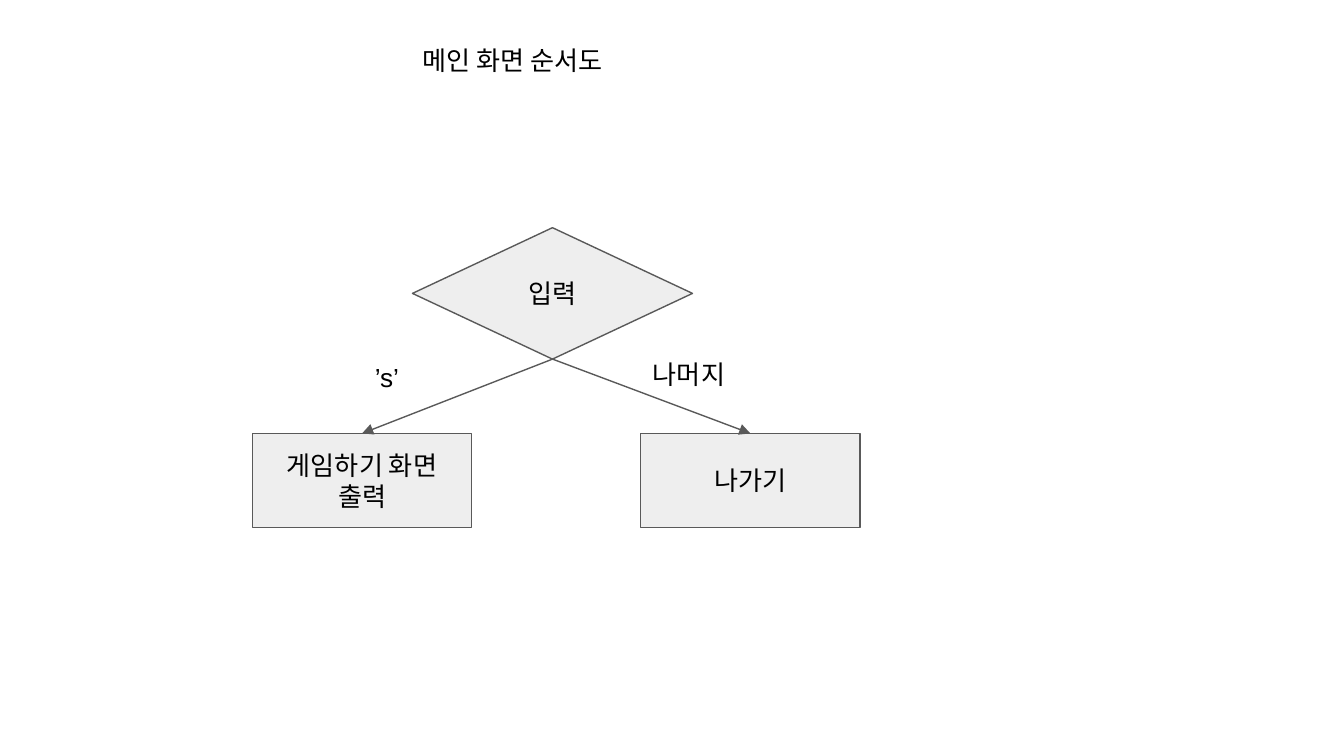
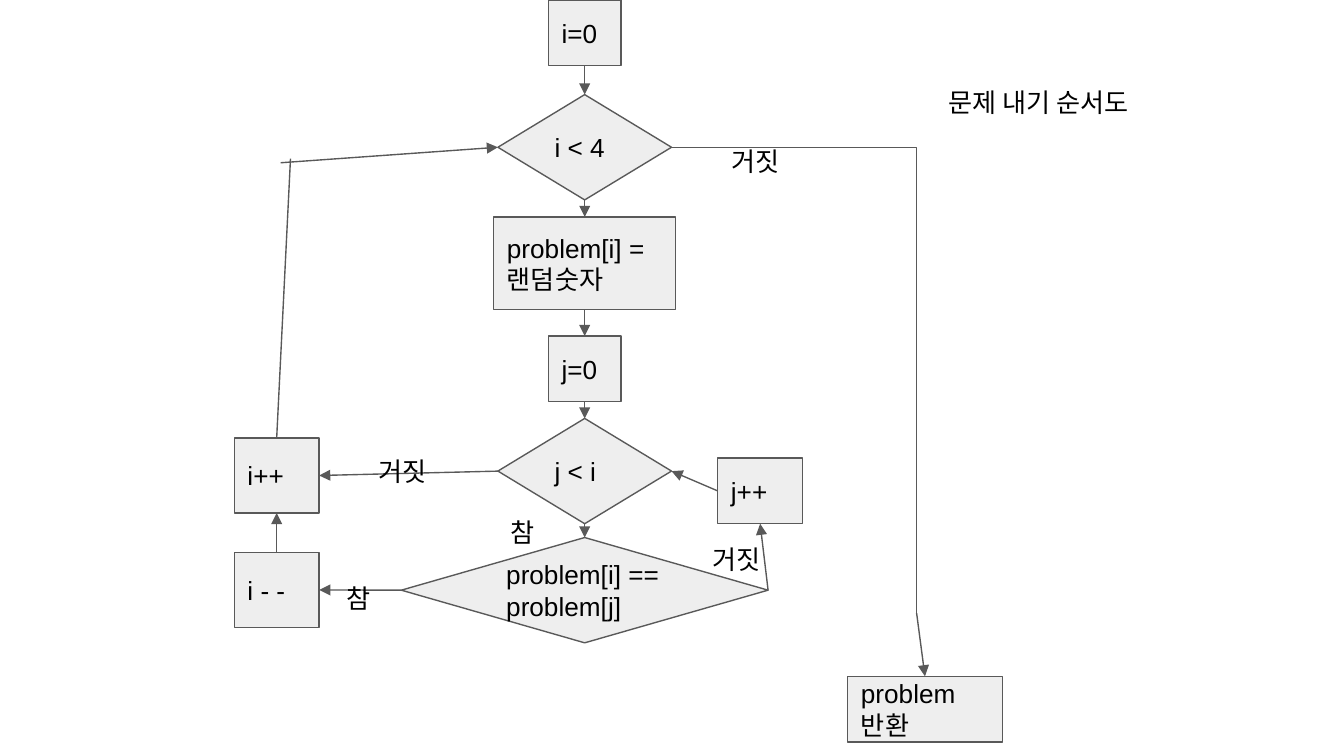
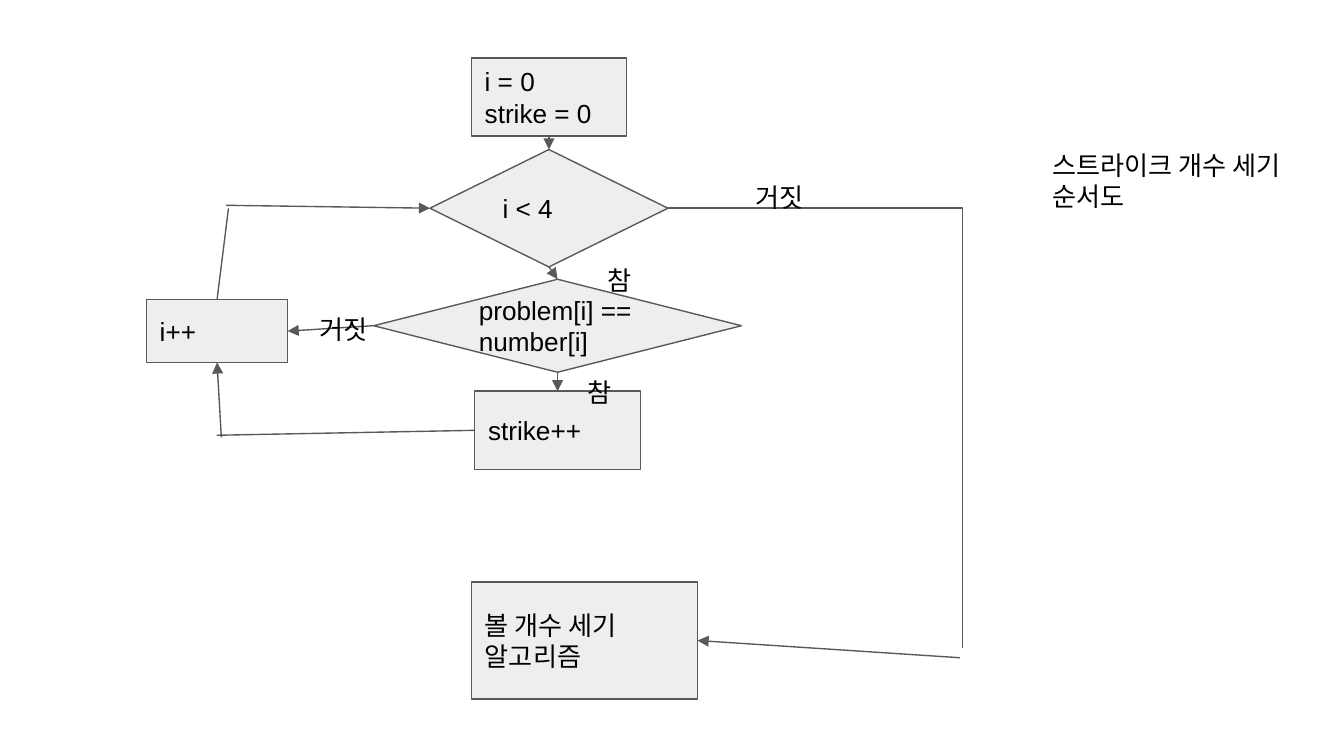
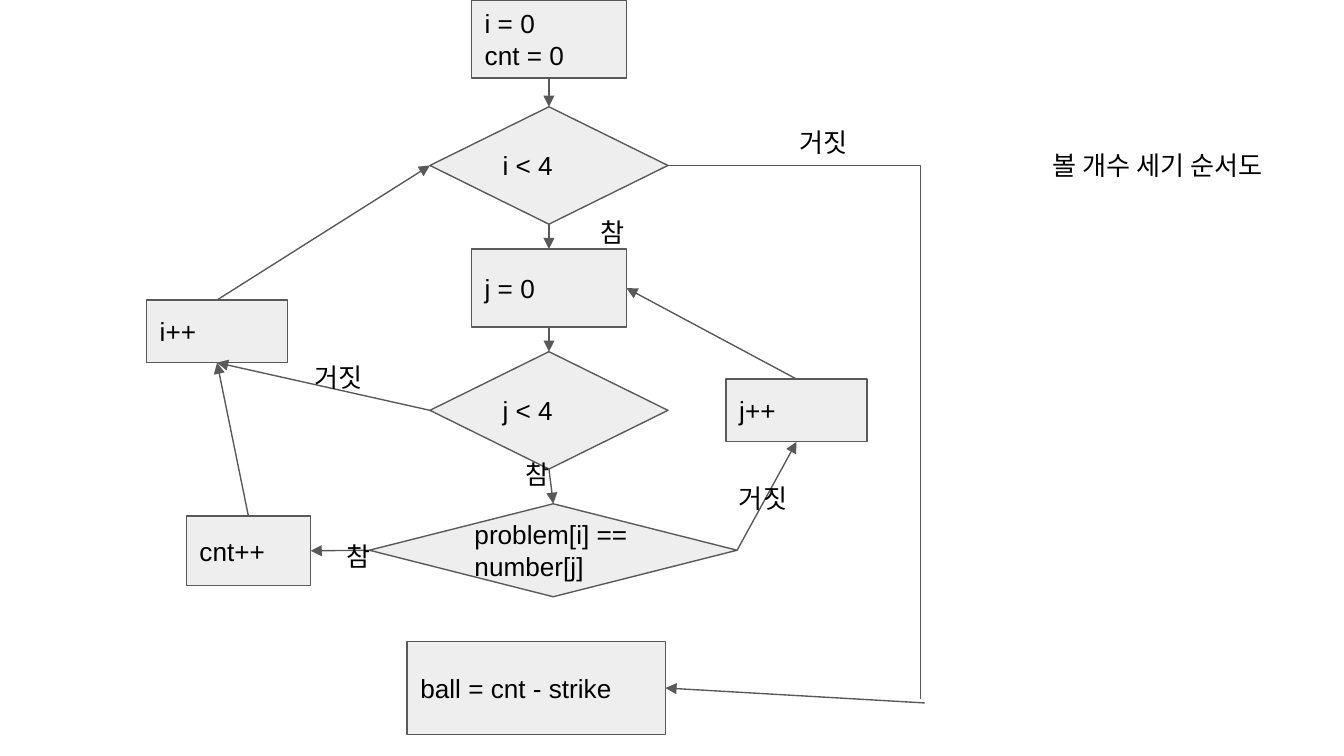
from typing import NamedTuple

from lxml import etree
from pptx import Presentation
from pptx.dml.color import RGBColor
from pptx.enum import shapes, text
from pptx.oxml import ns
from pptx.util import Pt

# Shared style
NODE_FILL = RGBColor(0xEE, 0xEE, 0xEE)
OUTLINE = RGBColor(0x59, 0x59, 0x59)
INK = RGBColor(0x00, 0x00, 0x00)
FONT = "Arial"
TEXT_SIZE = 14
LINE_WIDTH = 0.75
INSET = 7.2
LABEL_HEIGHT = 31.5

PROCESS = shapes.MSO_SHAPE.RECTANGLE
DECISION = shapes.MSO_SHAPE.DIAMOND
TOP, LEFT, BOTTOM, RIGHT = range(4)  # connection sites of both node kinds
YES, NO = "참", "거짓"


class Box(NamedTuple):
    left: float
    top: float
    width: float
    height: float


def write_text(shape, words, align=text.PP_ALIGN.LEFT, anchor=text.MSO_ANCHOR.TOP,
               fit=text.MSO_AUTO_SIZE.NONE):
    frame = shape.text_frame
    frame.text = words
    frame.word_wrap = True
    frame.auto_size = fit
    frame.vertical_anchor = anchor
    frame.margin_left = frame.margin_right = Pt(INSET)
    frame.margin_top = frame.margin_bottom = Pt(INSET)
    for paragraph in frame.paragraphs:
        paragraph.alignment = align
        font = paragraph.font
        for run in paragraph.runs:
            font = run.font
            font.name, font.size, font.color.rgb = FONT, Pt(TEXT_SIZE), INK


def draw_outline(item):
    item.line.color.rgb = OUTLINE
    item.line.width = Pt(LINE_WIDTH)


def add_titled_slide(presentation, words, box):
    slide = presentation.slides.add_slide(presentation.slide_layouts[5])
    title = slide.shapes.title
    title.left, title.top, title.width, title.height = map(Pt, box)
    write_text(title, words)
    return slide


class Flowchart:
    """Places parts by offset from the middle and top of its main column."""

    def __init__(self, slide, column, align=text.PP_ALIGN.LEFT):
        self.shapes = slide.shapes
        self.axis = column.left + column.width / 2
        self.top = column.top
        self.align = align

    def place(self, x, y):
        return Pt(self.axis + x), Pt(self.top + y)

    def node(self, kind, words, y, size, x=0):
        """Add a node centred on x with its top at y."""
        width, height = size
        node = self.shapes.add_shape(kind, *self.place(x - width / 2, y),
                                     Pt(width), Pt(height))
        node.shadow.inherit = False
        node.fill.solid()
        node.fill.fore_color.rgb = NODE_FILL
        draw_outline(node)
        write_text(node, words, align=self.align, anchor=text.MSO_ANCHOR.MIDDLE)
        return node

    def label(self, words, x, y, width):
        label = self.shapes.add_textbox(*self.place(x, y), Pt(width), Pt(LABEL_HEIGHT))
        write_text(label, words, fit=text.MSO_AUTO_SIZE.SHAPE_TO_FIT_TEXT)

    def locate(self, end):
        """Turn a (node, site) pair or an (x, y) offset into a slide position."""
        if isinstance(end[0], (int, float)):
            return self.place(*end)
        node, site = end
        across = {LEFT: 0, RIGHT: node.width}.get(site, node.width // 2)
        down = {TOP: 0, BOTTOM: node.height}.get(site, node.height // 2)
        return node.left + across, node.top + down

    def link(self, start, end, arrow=True, kind=shapes.MSO_CONNECTOR.STRAIGHT):
        line = self.shapes.add_connector(kind, *self.locate(start), *self.locate(end))
        if kind == shapes.MSO_CONNECTOR.STRAIGHT:
            for (target, site), glue in ((start, line.begin_connect),
                                         (end, line.end_connect)):
                if not isinstance(target, (int, float)):
                    glue(target, site)
        draw_outline(line)
        if arrow:
            etree.SubElement(line.line._get_or_add_ln(), ns.qn("a:tailEnd"),
                             type="triangle")
        etree.SubElement(line._element.spPr, ns.qn("a:effectLst"))
        return line

    def chain(self, *nodes):
        """Arrow down from each node to the next."""
        for upper, lower in zip(nodes, nodes[1:]):
            self.link((upper, BOTTOM), (lower, TOP))

    def corner(self, start, end):
        """Line that runs across and then down, with one bend."""
        line = self.link(start, end, arrow=False, kind=shapes.MSO_CONNECTOR.ELBOW)
        line._element.spPr.find(ns.qn("a:prstGeom")).set("prst", "bentConnector2")


def build_main_screen(slide, column):
    flow = Flowchart(slide, column, align=text.PP_ALIGN.CENTER)
    step = (117.5, 50.4)
    entry = flow.node(DECISION, "입력", 0, (column.width, 70.4))
    play = flow.node(PROCESS, "게임하기 화면 출력", 110.2, step, x=-102)
    leave = flow.node(PROCESS, "나가기", 110.2, step, x=106)
    for target in (play, leave):
        flow.link((entry, BOTTOM), (target, TOP))
    flow.label("’s’", -102.3, 64.4, 60)
    flow.label("나머지", 46.7, 63, 60)


def build_problem_maker(slide, column):
    flow = Flowchart(slide, column)
    start_size, test_size, side_size = (39, 35.2), (93, 56.4), (45.5, 40.3)

    # Main column
    start = flow.node(PROCESS, "i=0", 0, start_size)
    outer = flow.node(DECISION, "i < 4", 50.7, test_size)
    pick = flow.node(PROCESS, "problem[i] = 랜덤숫자", 116.2, (97.5, 49.8))
    restart = flow.node(PROCESS, "j=0", 180, start_size)
    inner = flow.node(DECISION, "j < i", 224.2, test_size)
    compare = flow.node(DECISION, "problem[i] == problem[j]", 288, (column.width, 56.4))
    flow.chain(start, outer, pick, restart, inner, compare)

    # Side steps
    next_j = flow.node(PROCESS, "j++", 245.4, (45.5, 35.2), x=94)
    next_i = flow.node(PROCESS, "i++", 234.6, side_size, x=-165)
    back_i = flow.node(PROCESS, "i - -", 295.9, side_size, x=-165)
    result = flow.node(PROCESS, "problem 반환", 362.3, (82.8, 35.2), x=182.3)

    # Branches and loops
    flow.link((compare, RIGHT), (next_j, BOTTOM))
    flow.link((next_j, LEFT), (inner, RIGHT))
    flow.link((inner, LEFT), (next_i, RIGHT))
    flow.link((compare, LEFT), (back_i, RIGHT))
    flow.link((back_i, TOP), (next_i, BOTTOM))
    flow.link((next_i, TOP), (-157.6, 85), arrow=False)
    flow.link((-162.9, 87.2), (outer, LEFT))
    flow.corner((outer, RIGHT), (177.8, 329))
    flow.link((177.8, 328.5), (result, TOP))

    for words, x, y, width in ((NO, 61.2, 283.7, 45), (YES, -134.6, 304.6, 45),
                               (NO, -117.4, 236.9, 45), (YES, -46.8, 269.3, 45),
                               (NO, 71.3, 70.6, 57)):
        flow.label(words, x, y, width)


# Node sizes shared by the two counting charts
START_SIZE = (83, 41.9)
TEST_SIZE = (127.5, 62.9)
COMPARE_SIZE = (197, 49.8)
COUNTER_SIZE = (75.6, 33.6)
COUNTER_X = -177.8
LABEL_WIDTHS = {YES: 41.8, NO: 57}


def add_branch_labels(flow, *labels):
    for words, x, y in labels:
        flow.label(words, x, y, LABEL_WIDTHS[words])


def build_strike_count(slide, column):
    flow = Flowchart(slide, column)

    # Main column
    start = flow.node(PROCESS, "i = 0\nstrike = 0", 0, START_SIZE)
    loop = flow.node(DECISION, "i < 4", 49.1, TEST_SIZE)
    compare = flow.node(DECISION, "problem[i] == number[i]", 118.6, COMPARE_SIZE, x=4.6)
    strike = flow.node(PROCESS, "strike++", 178.6, (88.7, 41.9), x=4.6)
    flow.chain(start, loop, compare, strike)

    # Side steps
    next_i = flow.node(PROCESS, "i++", 129.6, COUNTER_SIZE, x=COUNTER_X)
    ball = flow.node(PROCESS, "볼 개수 세기 알고리즘", 280.7, (121, 62.9), x=19.1)

    # Branches and loops
    flow.link((strike, LEFT), (-178, 202.2), arrow=False)
    flow.link((-175.5, 203.3), (next_i, BOTTOM))
    flow.link((compare, LEFT), (next_i, RIGHT))
    flow.link((next_i, TOP), (-171.7, 80.6), arrow=False)
    flow.link((-173, 79), (loop, LEFT))
    flow.corner((loop, RIGHT), (221.5, 316))
    flow.link((220.2, 321.4), (ball, RIGHT))

    add_branch_labels(flow, (YES, 24.1, 103.6), (YES, 13.3, 163.4),
                      (NO, -129.9, 129.6), (NO, 103.3, 59))


def build_ball_count(slide, column):
    flow = Flowchart(slide, column)

    # Main column
    start = flow.node(PROCESS, "i = 0\ncnt = 0", 0, START_SIZE)
    outer = flow.node(DECISION, "i < 4", 57.2, TEST_SIZE)
    restart = flow.node(PROCESS, "j = 0", 133.4, START_SIZE)
    inner = flow.node(DECISION, "j < 4", 188.4, TEST_SIZE)
    compare = flow.node(DECISION, "problem[i] == number[j]", 269.9, COMPARE_SIZE, x=2.3)
    flow.chain(start, outer, restart, inner, compare)

    # Side steps
    next_i = flow.node(PROCESS, "i++", 160.7, COUNTER_SIZE, x=COUNTER_X)
    next_j = flow.node(PROCESS, "j++", 203.1, COUNTER_SIZE, x=132.6)
    count = flow.node(PROCESS, "cnt++", 276.5, (66.7, 37.2), x=-161)
    ball = flow.node(PROCESS, "ball = cnt - strike", 343.7, (138.4, 49.8), x=-6.8)

    # Branches and loops
    flow.link((compare, RIGHT), (next_j, BOTTOM))
    flow.link((next_j, TOP), (restart, RIGHT))
    flow.link((inner, LEFT), (next_i, BOTTOM))
    flow.link((compare, LEFT), (count, RIGHT))
    flow.link((count, TOP), (next_i, BOTTOM))
    flow.link((next_i, TOP), (outer, LEFT))
    flow.corner((outer, RIGHT), (199, 374.7))
    flow.link((201.2, 376.6), (ball, RIGHT))

    add_branch_labels(flow, (YES, 20.5, 108.7), (NO, -132.8, 186.5),
                      (YES, -19.8, 238.3), (YES, -115.5, 282.2),
                      (NO, 94.7, 251.3), (NO, 127.1, 60.5))


# Title, title box, builder and main column of each slide
SLIDES = (
    ("메인 화면 순서도", Box(219, 16.5, 169, 31.5),
     build_main_screen, Box(221, 122, 150, 161)),
    ("문제 내기 순서도", Box(501, 39, 130.5, 31.5),
     build_problem_maker, Box(215, 0, 196.5, 398)),
    ("스트라이크 개수 세기 순서도", Box(556.5, 72.7, 138.2, 48.2),
     build_strike_count, Box(195.6, 31, 197, 344)),
    ("볼 개수 세기 순서도", Box(556.5, 72.7, 138.2, 31.5),
     build_ball_count, Box(195.6, 0, 197, 394)),
)


def main():
    presentation = Presentation()
    presentation.slide_width, presentation.slide_height = Pt(720), Pt(405)
    for words, title_box, build, column in SLIDES:
        build(add_titled_slide(presentation, words, title_box), column)
    presentation.save("out.pptx")


if __name__ == "__main__":
    main()
